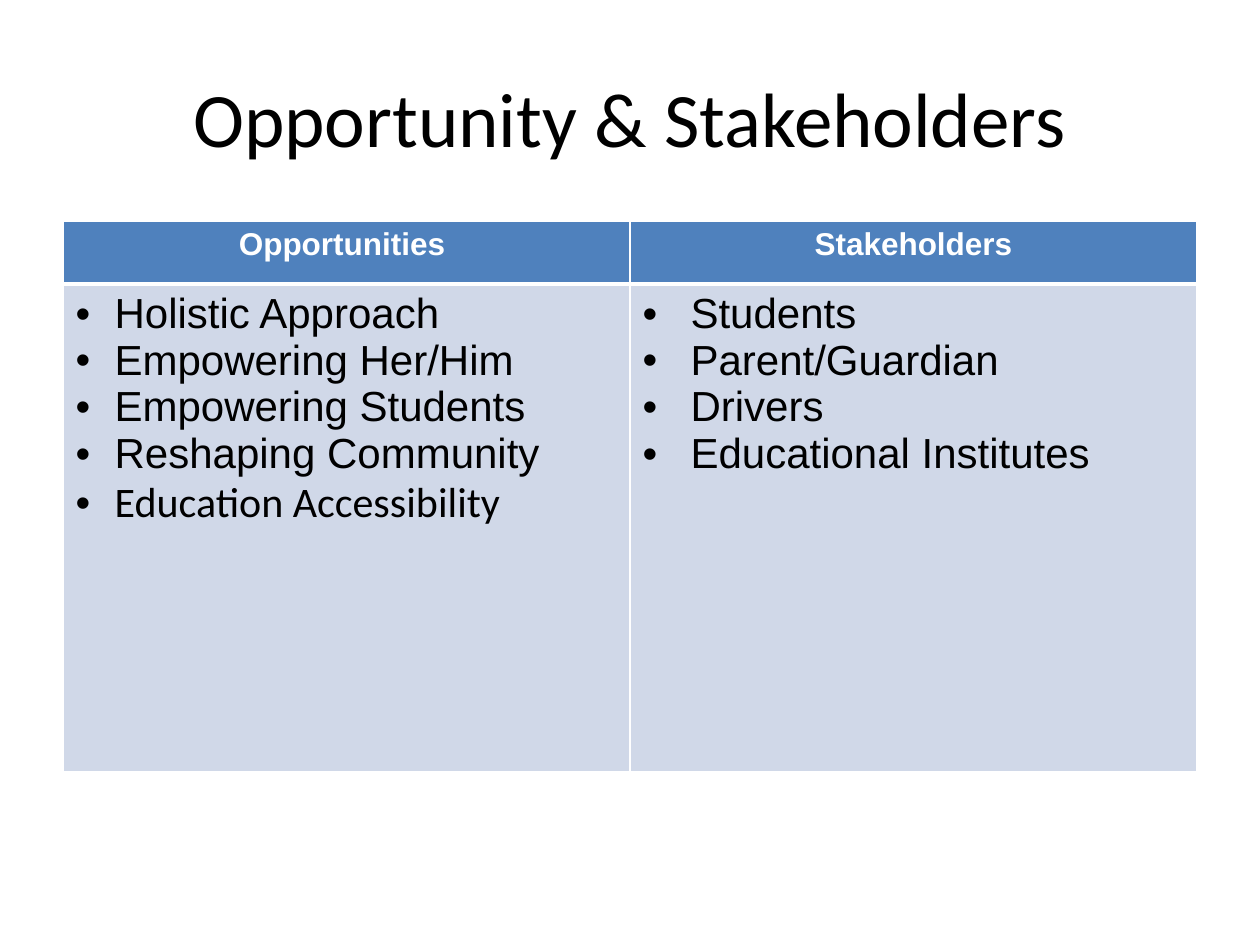
from dataclasses import dataclass

from lxml.etree import SubElement
from pptx import Presentation
from pptx.dml.color import RGBColor
from pptx.enum.text import MSO_ANCHOR, PP_ALIGN
from pptx.oxml.ns import qn
from pptx.util import Pt

PX = 914400 // 126  # EMU in one px


@dataclass(frozen=True)
class Theme:
    sans: str = "Arial"
    head: str = "Calibri"
    ink: str = "000000"
    white: str = "FFFFFF"
    blue: str = "4F81BD"
    pale: str = "D0D8E8"
    title: int = 44
    label: int = 18
    item: int = 24
    thin: int = 1
    thick: int = 3


@dataclass(frozen=True)
class Item:
    text: str
    font: str


@dataclass(frozen=True)
class Column:
    label: str
    indent: int
    items: tuple[Item, ...]


THEME = Theme()
COLUMNS = (
    Column("Opportunities ", 39, (
        Item("Holistic Approach", THEME.sans),
        Item("Empowering Her/Him", THEME.sans),
        Item("Empowering Students", THEME.sans),
        Item("Reshaping Community", THEME.sans),
        Item("Education Accessibility", THEME.head),
    )),
    Column("Stakeholders", 48, (
        Item("Students", THEME.sans),
        Item("Parent/Guardian", THEME.sans),
        Item("Drivers", THEME.sans),
        Item("Educational Institutes", THEME.sans),
    )),
)


def write(para, text: str, font: str, size: int, color: str,
          bold: bool = False, align=PP_ALIGN.LEFT) -> None:
    para.text = text
    para.alignment = align
    para.font.name = font
    para.font.size = Pt(size)
    para.font.bold = bold
    para.font.color.rgb = RGBColor.from_string(color)


def bullet(para, indent: int) -> None:
    props = para._p.get_or_add_pPr()
    props.set("marL", str(indent * PX))
    props.set("indent", str(-indent * PX))
    SubElement(props, qn("a:buFont"), typeface=THEME.sans)
    SubElement(props, qn("a:buChar"), char="•")


def paint(cell, color: str, top: int, bottom: int) -> None:
    # Borders come before the fill in the cell properties
    props = cell._tc.get_or_add_tcPr()
    widths = {"L": THEME.thin, "R": THEME.thin, "T": top, "B": bottom}
    for side, width in widths.items():
        line = SubElement(props, qn(f"a:ln{side}"), w=str(Pt(width)))
        fill = SubElement(line, qn("a:solidFill"))
        SubElement(fill, qn("a:srgbClr"), val=THEME.white)
    cell.fill.solid()
    cell.fill.fore_color.rgb = RGBColor.from_string(color)


def add_title(slide, text: str) -> None:
    box = slide.shapes.add_textbox(63 * PX, 38 * PX, 1134 * PX, 158 * PX)
    frame = box.text_frame
    frame.word_wrap = True
    frame.vertical_anchor = MSO_ANCHOR.MIDDLE
    write(frame.paragraphs[0], text, THEME.head, THEME.title, THEME.ink,
          align=PP_ALIGN.CENTER)


def add_grid(slide, columns: tuple[Column, ...]) -> None:
    grid = slide.shapes.add_table(2, len(columns), 63 * PX, 221 * PX,
                                  1134 * PX, 551 * PX).table
    for row, height in zip(grid.rows, (63, 488)):
        row.height = height * PX
    for col, data in enumerate(columns):
        # Header cell
        top = grid.cell(0, col)
        paint(top, THEME.blue, THEME.thin, THEME.thick)
        write(top.text_frame.paragraphs[0], data.label, THEME.sans,
              THEME.label, THEME.white, True, PP_ALIGN.CENTER)
        # Bullet list
        body = grid.cell(1, col)
        paint(body, THEME.pale, THEME.thick, THEME.thin)
        frame = body.text_frame
        for row, item in enumerate(data.items):
            para = frame.add_paragraph() if row else frame.paragraphs[0]
            bullet(para, data.indent)
            write(para, item.text, item.font, THEME.item, THEME.ink)


def main() -> None:
    deck = Presentation()
    deck.slide_width = 1260 * PX
    deck.slide_height = 945 * PX
    slide = deck.slides.add_slide(deck.slide_layouts[6])
    add_title(slide, "Opportunity & Stakeholders")
    add_grid(slide, COLUMNS)
    deck.save("out.pptx")


if __name__ == "__main__":
    main()
